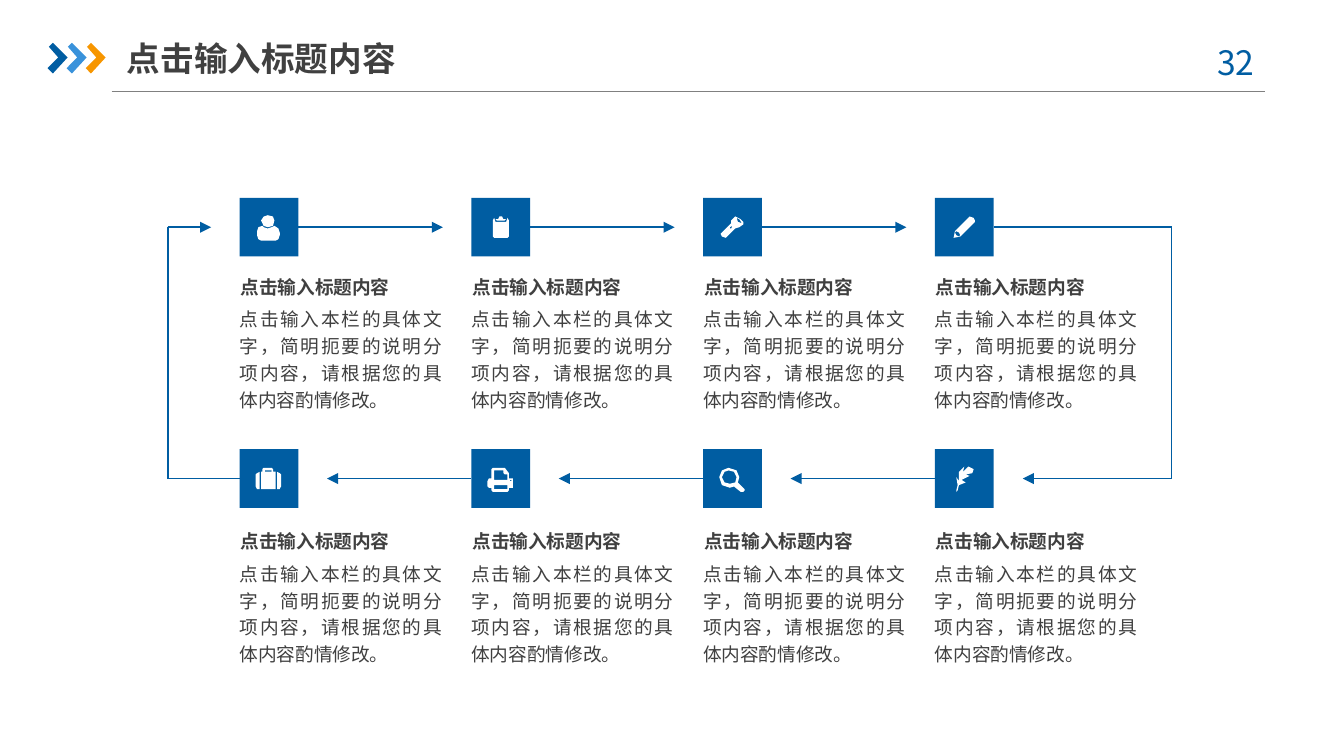
"""Build a slide with an eight-step cycle of icon tiles and captions."""
from lxml import etree
from pptx import Presentation, util as u
from pptx.dml.color import RGBColor
from pptx.enum import shapes as kinds, text
from pptx.oxml.ns import qn

COLORS = {"blue": "005DA2", "sky": "3992DB", "orange": "F79600",
          "ink": "404040", "rule": "808080", "white": "FFFFFF"}
FONT = "Noto Sans CJK SC"
HEADING = "点击输入标题内容"
DETAIL = "点击输入本栏的具体文字，简明扼要的说明分项内容，请根据您的具体内容酌情修改。"
GRID = u.Cm(1.11) / 44

person = [
    [[(18, 21), (21, 22), (25, 21), (26, 17), (25, 14), (21, 13), (18, 14), (16, 17)]],
    [[(30, 26), (29, 23), (26, 21), (24, 22), (21, 23), (18, 22), (17, 21), (14, 22),
      (13, 25), (13, 28), (14, 31), (16, 32), (27, 32), (29, 31), (30, 28)]]]
clipboard = [
    [[(27, 15), (26, 18), (18, 18), (17, 15), (16, 17), (16, 29), (17, 30), (27, 30),
      (28, 29), (28, 17)]],
    [[(25, 17), (26, 16), (24, 16), (23, 14), (21, 14), (20, 16), (18, 16), (19, 17)]]]
flashlight = [
    [[(26, 18), (25, 15), (27, 16), (29, 19)],
     [(20, 23), (20, 22), (22, 21), (21, 23)],
     [(28, 16), (24, 14), (21, 17), (21, 19), (13, 27), (14, 29), (17, 30), (24, 23),
      (27, 22), (30, 20), (30, 18)]]]
pencil = [
    [[(18, 29), (16, 28), (15, 26), (16, 25), (18, 26), (19, 28)],
     [(29, 15), (26, 14), (15, 25), (14, 30), (19, 29), (30, 18), (30, 17)]]]
suitcase = [
    [[(13, 18), (12, 19), (12, 28), (13, 30), (15, 30), (15, 17)]],
    [[(24, 17), (19, 17), (19, 16), (24, 16)],
     [(25, 15), (24, 14), (18, 14), (17, 15), (17, 17), (16, 17), (16, 30), (27, 30),
      (27, 17), (25, 17)]],
    [[(28, 17), (28, 30), (30, 30), (31, 28), (31, 19), (30, 18)]]]
printer = [
    [[(27, 23), (17, 23), (17, 16), (24, 16), (24, 18), (25, 19), (27, 19)],
     [(27, 30), (17, 30), (17, 27), (27, 27)],
     [(30, 24), (29, 24), (29, 23), (30, 23)],
     [(31, 22), (28, 22), (28, 18), (25, 14), (16, 14), (15, 15), (15, 22), (13, 22),
      (12, 24), (12, 28), (13, 29), (15, 29), (15, 31), (16, 32), (27, 32), (28, 31),
      (28, 29), (31, 29), (31, 24)]]]
magnifier = [
    [[(14, 21), (16, 17), (19, 16), (23, 17), (25, 21), (24, 25), (20, 26), (16, 25)],
     [(31, 30), (26, 25), (27, 21), (25, 16), (19, 14), (14, 16), (12, 21), (14, 27),
      (20, 29), (23, 28), (28, 32), (30, 32), (31, 31)]]]
feather = [
    [[(17, 31), (18, 27), (23, 25), (20, 23), (26, 20), (23, 19), (28, 18), (29, 15),
      (25, 13), (21, 17), (22, 13), (18, 17), (18, 24), (16, 21), (17, 27), (16, 31),
      (16, 32)]]]
icon_rows = [[person, clipboard, flashlight, pencil],
             [suitcase, printer, magnifier, feather]]


def draw_outline(parent, contours, left, top, color):
    """Draw closed contours as one filled outline."""
    builder = parent.shapes.build_freeform(*contours[0][0], scale=GRID)
    builder.add_line_segments(contours[0][1:], close=True)
    for contour in contours[1:]:
        builder.move_to(*contour[0])
        builder.add_line_segments(contour[1:], close=True)
    outline = builder.convert_to_shape(u.Cm(left), u.Cm(top))
    outline.shadow.inherit = False
    outline.fill.solid()
    outline.fill.fore_color.rgb = RGBColor.from_string(COLORS[color])
    outline.line.fill.background()


def write(box, words, size, color, bold=False, align=text.PP_ALIGN.LEFT, inset=(0.25, 0.13)):
    """Fill a text frame with one formatted paragraph and return the paragraph."""
    frame = box.text_frame
    frame.text = words
    frame.word_wrap = True
    frame.auto_size = text.MSO_AUTO_SIZE.NONE
    frame.margin_left = frame.margin_right = u.Cm(inset[0])
    frame.margin_top = frame.margin_bottom = u.Cm(inset[1])
    paragraph = frame.paragraphs[0]
    paragraph.alignment = align
    font = paragraph.runs[0].font
    font.size, font.bold, font.name = u.Pt(size), bold, FONT
    font.color.rgb = RGBColor.from_string(COLORS[color])
    east_asian = etree.Element(qn("a:ea"), typeface=FONT)
    paragraph.runs[0]._r.rPr.find(qn("a:latin")).addnext(east_asian)
    return paragraph


deck = Presentation()
deck.slide_width, deck.slide_height = u.Cm(25.4), u.Cm(14.29)
slide = deck.slides.add_slide(deck.slide_layouts[5])

title = slide.shapes.title
title.left, title.top, title.width, title.height = u.Cm(2.4), u.Cm(0.56), u.Cm(5.92), u.Cm(1.07)
write(title, HEADING, 18, "ink", bold=True, inset=(0, 0.13))
title.text_frame.vertical_anchor = text.MSO_ANCHOR.MIDDLE

chevrons = slide.shapes.add_group_shape()
for step, color in enumerate(["blue", "sky", "orange"]):
    draw_outline(chevrons, [[(1, 3), (4, 0), (15, 11), (4, 23), (0, 19), (8, 11)]],
                 0.9 + 0.36 * step, 0.81, color)

page_number = slide.shapes.add_textbox(u.Cm(22.5), u.Cm(0.66), u.Cm(1.85), u.Cm(1.02))
write(page_number, "32 ", 18, "blue", align=text.PP_ALIGN.CENTER)

tile = 1.11
columns = [4.53 + 4.38 * i for i in range(4)]
tile_tops = [3.74, 8.49]
upper, lower = [top + tile / 2 for top in tile_tops]
loop_left, loop_right, arrow_length = 3.17, 22.14, 2.73

routes = [(2.11, 1.73, 23.9, 1.73, "rule", 0.75, False),
          (columns[3] + tile, upper, loop_right, upper, "blue", 1, False),
          (loop_right, upper, loop_right, lower, "blue", 1, False),
          (loop_right, lower, 19.33, lower, "blue", 1, True),
          (columns[0], lower, loop_left, lower, "blue", 1, False),
          (loop_left, lower, loop_left, upper, "blue", 1, False),
          (loop_left, upper, 3.99, upper, "blue", 1, True)]
for left, following in zip(columns, columns[1:]):
    start = left + tile
    routes.append((start, upper, start + arrow_length, upper, "blue", 1, True))
    routes.append((following, lower, following - arrow_length, lower, "blue", 1, True))

for x1, y1, x2, y2, color, weight, has_arrow in routes:
    route = slide.shapes.add_connector(kinds.MSO_CONNECTOR.STRAIGHT,
                                       u.Cm(x1), u.Cm(y1), u.Cm(x2), u.Cm(y2))
    route.line.color.rgb = RGBColor.from_string(COLORS[color])
    route.line.width = u.Pt(weight)
    if has_arrow:
        etree.SubElement(route.line._get_or_add_ln(), qn("a:tailEnd"), type="triangle")
    etree.SubElement(route._element.spPr, qn("a:effectLst"))

for icons, tile_top, heading_top, detail_top in zip(icon_rows, tile_tops, [5.14, 9.95], [5.74, 10.55]):
    for icon, left in zip(icons, columns):
        badge = slide.shapes.add_group_shape()
        square = badge.shapes.add_shape(kinds.MSO_SHAPE.RECTANGLE, u.Cm(left), u.Cm(tile_top),
                                        u.Cm(tile), u.Cm(tile))
        square.shadow.inherit = False
        square.fill.solid()
        square.fill.fore_color.rgb = RGBColor.from_string(COLORS["blue"])
        square.line.fill.background()
        for contours in icon:
            draw_outline(badge, contours, left, tile_top, "white")

        detail = slide.shapes.add_textbox(u.Cm(left), u.Cm(detail_top), u.Cm(3.82), u.Cm(2.06))
        write(detail, DETAIL, 10, "ink", align=text.PP_ALIGN.JUSTIFY, inset=(0, 0)).line_spacing = 1.2

        heading = slide.shapes.add_textbox(u.Cm(left - 0.23), u.Cm(heading_top), u.Cm(3.5), u.Cm(0.56))
        write(heading, HEADING, 10, "ink", bold=True).space_before = u.Pt(2)
        heading.text_frame.vertical_anchor = text.MSO_ANCHOR.MIDDLE

deck.save("out.pptx")
